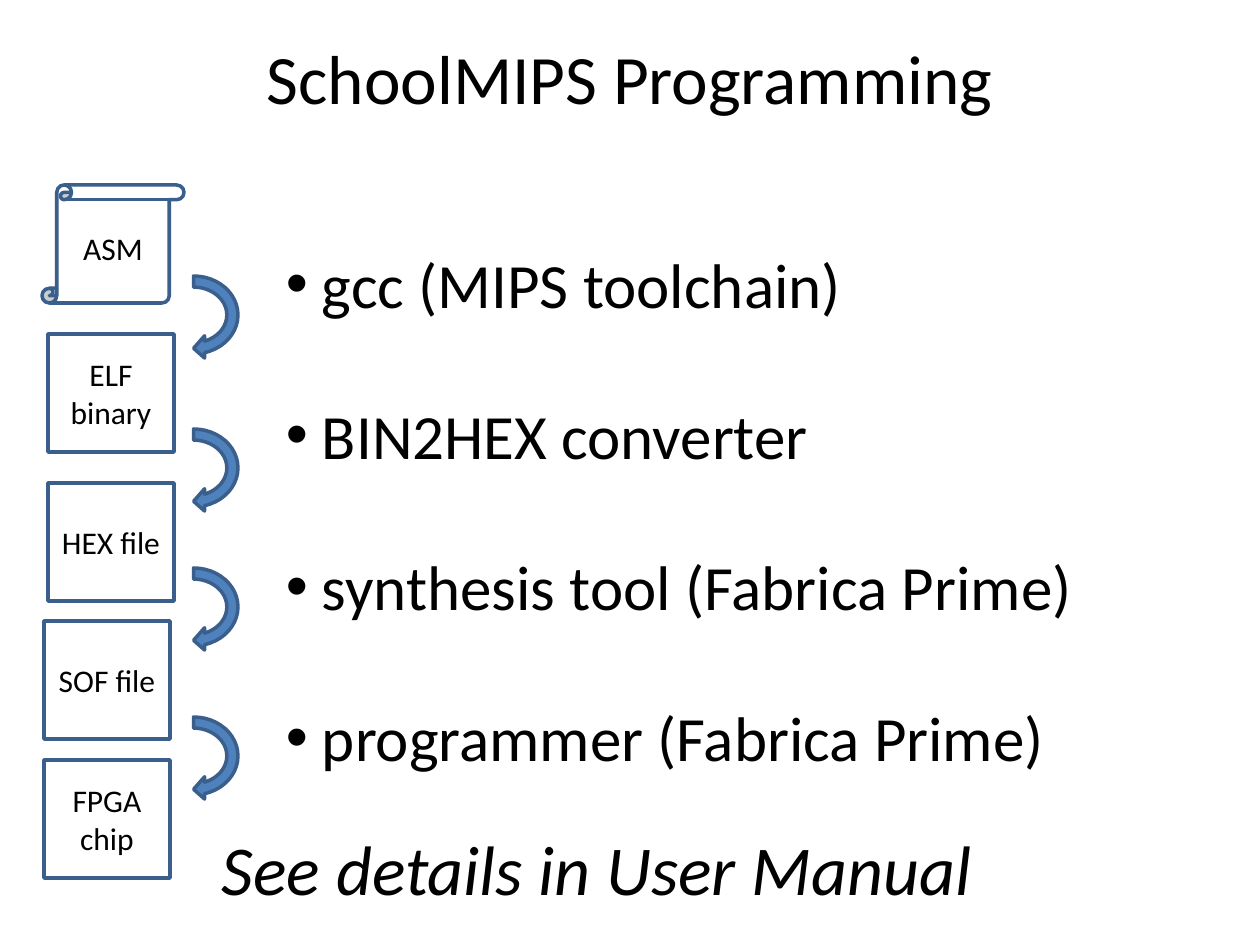
from dataclasses import dataclass

from lxml.etree import SubElement
from pptx import Presentation
from pptx.dml.color import RGBColor
from pptx.enum.shapes import MSO_SHAPE
from pptx.enum.text import MSO_ANCHOR, MSO_AUTO_SIZE, PP_ALIGN
from pptx.oxml.ns import qn
from pptx.util import Inches, Pt

# Content
TITLE = "SchoolMIPS Programming"
FOOTNOTE = "See details in User Manual"
STEPS = [
    "gcc (MIPS toolchain)",
    "BIN2HEX converter",
    "synthesis tool (Fabrica Prime)",
    "programmer (Fabrica Prime)",
]
# Kind, lines, left, top, width
STAGES = [
    (MSO_SHAPE.VERTICAL_SCROLL, ["ASM"], 42, 185, 142),
    (MSO_SHAPE.FLOWCHART_PROCESS, ["ELF", "binary"], 48, 334, 126),
    (MSO_SHAPE.FLOWCHART_PROCESS, ["HEX file"], 48, 483, 126),
    (MSO_SHAPE.FLOWCHART_PROCESS, ["SOF file"], 44, 621, 126),
    (MSO_SHAPE.FLOWCHART_PROCESS, ["FPGA", "chip"], 44, 760, 126),
]
STAGE_HEIGHT = 118
ARROW_TOPS = [265, 418, 557, 706]
ARROW_LEFT, ARROW_WIDTH, ARROW_HEIGHT = 149, 89, 100
BULLET_INDENT = 36


@dataclass(frozen=True)
class Theme:
    font: str = "Calibri"
    text: str = "000000"
    paper: str = "FFFFFF"
    arrow: str = "4F81BD"
    outline: str = "3A5F8C"
    outline_width: float = 2
    title_size: float = 39.6
    step_size: float = 36
    step_pitch: float = 43.2
    stage_size: float = 18
    footnote_size: float = 40


THEME = Theme()


def px(value):
    return round(value * Inches(1) / 126)


def place(shape, left, top, width, height):
    shape.left, shape.top = px(left), px(top)
    shape.width, shape.height = px(width), px(height)


def write_text(shape, lines, size, align=PP_ALIGN.LEFT, anchor=MSO_ANCHOR.TOP,
               italic=False, insets=(13, 6), pitch=None, gap=0):
    """Write one paragraph per line; insets are left/right and top in px."""
    frame = shape.text_frame
    frame.auto_size = MSO_AUTO_SIZE.NONE
    frame.word_wrap = True
    frame.vertical_anchor = anchor
    frame.margin_left = frame.margin_right = px(insets[0])
    frame.margin_top = frame.margin_bottom = px(insets[1])
    for index, line in enumerate(lines):
        paragraph = frame.add_paragraph() if index else frame.paragraphs[0]
        paragraph.alignment = align
        paragraph.space_before = Pt(0)
        paragraph.space_after = Pt(gap)
        if pitch:
            paragraph.line_spacing = Pt(pitch)
        run = paragraph.add_run()
        run.text = line
        run.font.name = THEME.font
        run.font.size = Pt(size)
        run.font.italic = italic
        run.font.color.rgb = RGBColor.from_string(THEME.text)


def add_bullets(shape, indent):
    for paragraph in shape.text_frame.paragraphs:
        properties = paragraph._p.get_or_add_pPr()
        properties.set("marL", str(px(indent)))
        properties.set("indent", str(-px(indent)))
        SubElement(properties, qn("a:buFont")).set("typeface", "Arial")
        SubElement(properties, qn("a:buChar")).set("char", "•")


def add_outlined_shape(slide, kind, box, fill):
    shape = slide.shapes.add_shape(kind, *map(px, box))
    shape.shadow.inherit = False
    shape.fill.solid()
    shape.fill.fore_color.rgb = RGBColor.from_string(fill)
    shape.line.color.rgb = RGBColor.from_string(THEME.outline)
    shape.line.width = Pt(THEME.outline_width)
    return shape


def main():
    presentation = Presentation()
    presentation.slide_width, presentation.slide_height = px(1260), px(945)
    slide = presentation.slides.add_slide(presentation.slide_layouts[1])

    # Title
    title = slide.shapes.title
    place(title, 63, 38, 1134, 77)
    write_text(title, [TITLE], THEME.title_size, align=PP_ALIGN.CENTER,
               anchor=MSO_ANCHOR.MIDDLE)

    # Stages from source code to chip
    for kind, lines, left, top, width in STAGES:
        stage = add_outlined_shape(slide, kind, (left, top, width, STAGE_HEIGHT),
                                   THEME.paper)
        write_text(stage, lines, THEME.stage_size, align=PP_ALIGN.CENTER,
                   anchor=MSO_ANCHOR.MIDDLE, insets=(0, 0))

    # Tool for each step
    steps = slide.placeholders[1]
    place(steps, 273, 234, 922, 547)
    write_text(steps, STEPS, THEME.step_size, insets=(13, 11),
               pitch=THEME.step_pitch, gap=THEME.step_pitch)
    add_bullets(steps, BULLET_INDENT)

    # Arrows between stages
    for top in ARROW_TOPS:
        arrow = add_outlined_shape(slide, MSO_SHAPE.CIRCULAR_ARROW,
                                   (ARROW_LEFT, top, ARROW_WIDTH, ARROW_HEIGHT),
                                   THEME.arrow)
        arrow.rotation = 90

    # Footnote
    footnote = slide.shapes.add_textbox(0, 0, 0, 0)
    place(footnote, 194, 820, 1007, 97)
    write_text(footnote, [FOOTNOTE], THEME.footnote_size, italic=True, insets=(28, 6))

    presentation.save("out.pptx")


if __name__ == "__main__":
    main()
